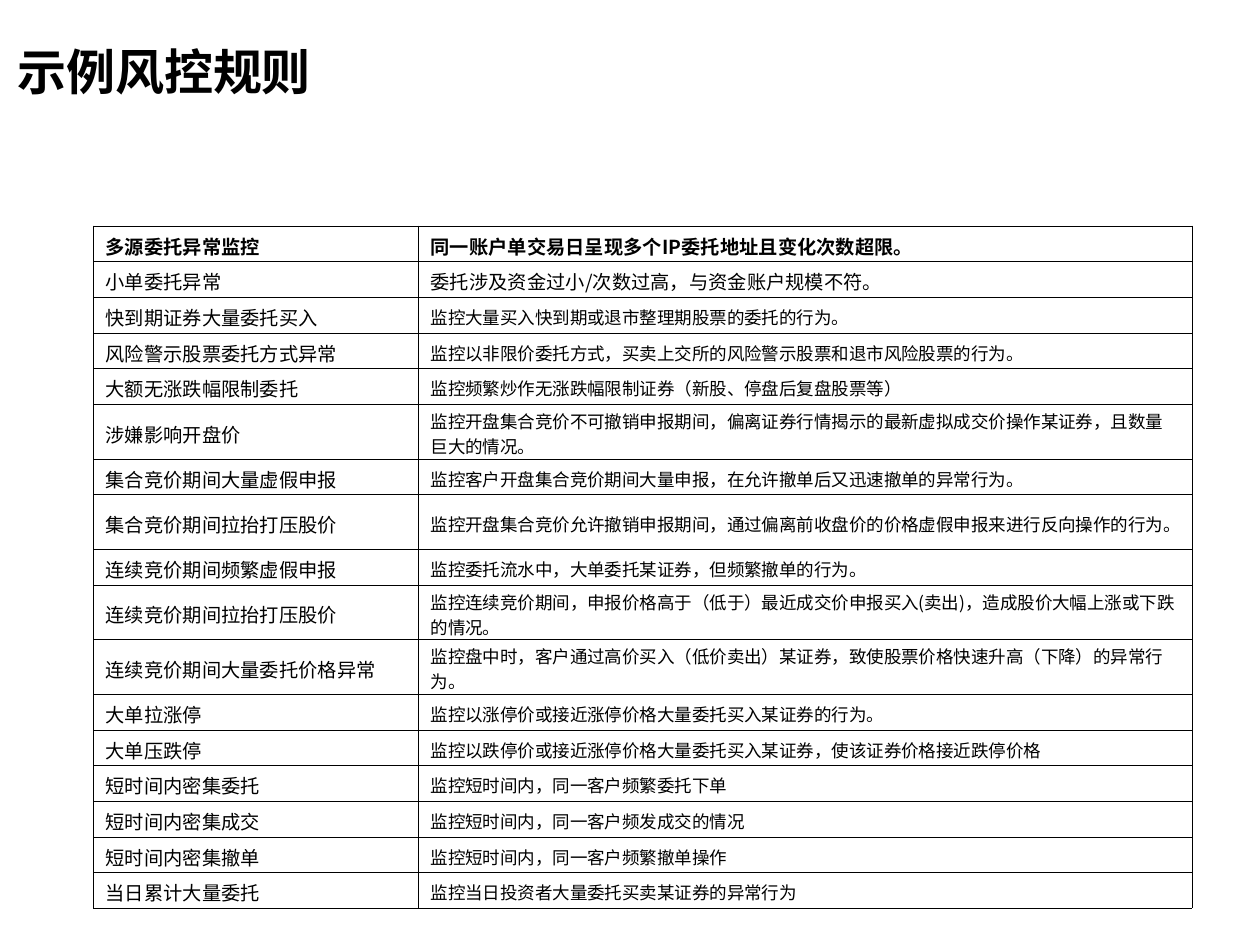
from lxml.etree import SubElement
from pptx import Presentation
from pptx.dml.color import RGBColor
from pptx.enum.text import MSO_ANCHOR
from pptx.oxml.ns import qn
from pptx.util import Cm, Pt

BLACK = RGBColor(0, 0, 0)
CJK = "Noto Sans CJK SC"
TITLE = {"name": "Arial", "size": Pt(28), "bold": True}
HEAD = {"name": CJK, "size": Pt(11), "bold": True}
NAME = {"name": CJK, "size": Pt(11), "bold": False}
NOTE = {"name": CJK, "size": Pt(10), "bold": False}
CELL = {
    "vertical_anchor": MSO_ANCHOR.MIDDLE,
    "margin_left": Cm(0.25),
    "margin_right": Cm(0.25),
    "margin_top": Cm(0.08),
    "margin_bottom": 0,
}
PLAIN = {"first_row": False, "horz_banding": False}
COLS = (6.55, 15.6)
LOW, TALL = 0.72, 1.1
TALL_ROWS = {5, 7, 9, 10}

RULES = [
    ("多源委托异常监控", "同一账户单交易日呈现多个IP委托地址且变化次数超限。"),
    ("小单委托异常", "委托涉及资金过小/次数过高，与资金账户规模不符。"),
    ("快到期证券大量委托买入", "监控大量买入快到期或退市整理期股票的委托的行为。"),
    ("风险警示股票委托方式异常",
     "监控以非限价委托方式，买卖上交所的风险警示股票和退市风险股票的行为。"),
    ("大额无涨跌幅限制委托", "监控频繁炒作无涨跌幅限制证券（新股、停盘后复盘股票等）"),
    ("涉嫌影响开盘价",
     "监控开盘集合竞价不可撤销申报期间，偏离证券行情揭示的最新虚拟成交价操作某证券，且数量巨大的情况。"),
    ("集合竞价期间大量虚假申报",
     "监控客户开盘集合竞价期间大量申报，在允许撤单后又迅速撤单的异常行为。"),
    ("集合竞价期间拉抬打压股价",
     "监控开盘集合竞价允许撤销申报期间，通过偏离前收盘价的价格虚假申报来进行反向操作的行为。"),
    ("连续竞价期间频繁虚假申报", "监控委托流水中，大单委托某证券，但频繁撤单的行为。"),
    ("连续竞价期间拉抬打压股价",
     "监控连续竞价期间，申报价格高于（低于）最近成交价申报买入(卖出)，造成股价大幅上涨或下跌的情况。"),
    ("连续竞价期间大量委托价格异常",
     "监控盘中时，客户通过高价买入（低价卖出）某证券，致使股票价格快速升高（下降）的异常行为。"),
    ("大单拉涨停", "监控以涨停价或接近涨停价格大量委托买入某证券的行为。"),
    ("大单压跌停",
     "监控以跌停价或接近涨停价格大量委托买入某证券，使该证券价格接近跌停价格"),
    ("短时间内密集委托", "监控短时间内，同一客户频繁委托下单"),
    ("短时间内密集成交", "监控短时间内，同一客户频发成交的情况"),
    ("短时间内密集撤单", "监控短时间内，同一客户频繁撤单操作"),
    ("当日累计大量委托", "监控当日投资者大量委托买卖某证券的异常行为"),
]


def apply(item, values):
    for key, value in values.items():
        setattr(item, key, value)


def write(frame, text, style):
    run = frame.paragraphs[0].add_run()
    run.text = text
    apply(run.font, style)
    run.font.color.rgb = BLACK
    SubElement(run.font._element, qn("a:ea"), typeface=CJK)


def add_borders(cell):
    props = cell._tc.get_or_add_tcPr()
    for place, side in enumerate(("lnL", "lnR", "lnT", "lnB")):
        line = SubElement(props, qn(f"a:{side}"), w=str(Pt(0.23)))
        fill = SubElement(line, qn("a:solidFill"))
        SubElement(fill, qn("a:srgbClr"), val=str(BLACK))
        props.insert(place, line)


def add_title(slide, text):
    box = slide.shapes.add_textbox(Cm(0.1), Cm(0.71), Cm(22.07), Cm(1.45))
    box.text_frame.word_wrap = True
    write(box.text_frame, text, TITLE)


def add_rules(slide):
    tops = [TALL if r in TALL_ROWS else LOW for r in range(len(RULES))]
    table = slide.shapes.add_table(
        len(RULES), len(COLS), Cm(1.88), Cm(4.55), Cm(sum(COLS)), Cm(sum(tops))
    ).table
    apply(table, PLAIN)
    for col, width in zip(table.columns, COLS):
        col.width = Cm(width)
    for r, (row, high, texts) in enumerate(zip(table.rows, tops, RULES)):
        row.height = Cm(high)
        # The first two notes are as large as the names.
        styles = (HEAD, HEAD) if r == 0 else (NAME, NAME if r == 1 else NOTE)
        for cell, text, style in zip(row.cells, texts, styles):
            apply(cell, CELL)
            cell.fill.background()
            add_borders(cell)
            write(cell.text_frame, text, style)


def main():
    deck = Presentation()
    apply(deck, {"slide_width": Cm(25.4), "slide_height": Cm(19.05)})
    slide = deck.slides.add_slide(deck.slide_layouts[6])
    add_title(slide, "示例风控规则")
    add_rules(slide)
    deck.save("out.pptx")


if __name__ == "__main__":
    main()
